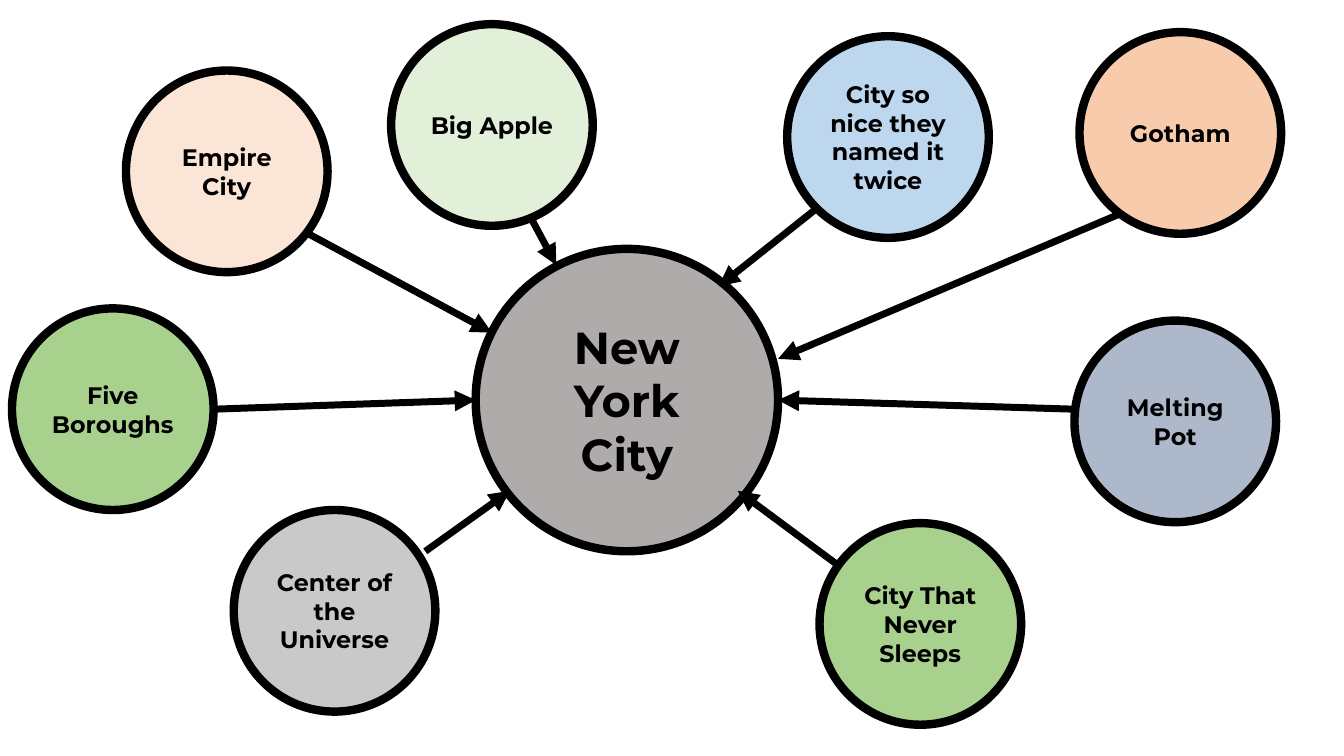
from lxml import etree
from pptx import Presentation
from pptx import util as u
from pptx.dml.color import RGBColor
from pptx.enum import shapes, text
from pptx.oxml import ns

COLOURS = {
    "ink": "000000",
    "hub": "AFABAB",
    "cream": "FBE5D6",
    "silver": "C9C9C9",
    "peach": "F8CBAD",
    "sky": "BDD7EE",
    "slate": "ADB9CA",
    "green": "A9D18E",
    "mint": "E2F0D9",
}

NICKNAMES = [
    ("Empire City", "cream", (90, 50.4), (220.3, 167), (351.4, 237.6)),
    ("Five Boroughs", "green", (8.6, 220.3), (152.6, 292.3), (339.8, 285.8)),
    ("Big Apple", "mint", (279.4, 17.3), (378, 153.4), (397.4, 189.4)),
    ("Gotham", "peach", (771.1, 23), (798.5, 153.4), (555.8, 256.3)),
    ("City That Never Sleeps", "green", (585.4, 373.7), (599.8, 404.6), (527, 350.6)),
    ("City so nice they named it twice", "sky", (562.3, 25.9), (583.2, 149), (513.4, 204.5)),
    ("Center of the Universe", "silver", (167, 364.3), (303.8, 393.8), (364.3, 350.6)),
    ("Melting Pot", "slate", (767.5, 229), (767.5, 292.3), (555.8, 285.8)),
]


class MindMap:
    font = "Montserrat"
    outline = 6
    arrow_width = 5

    def __init__(self, slide):
        self.slide = slide

    def colour(self, name):
        return RGBColor.from_string(COLOURS[name])

    def circle(self, label, fill, corner, diameter, size):
        left, top = corner
        bubble = self.slide.shapes.add_shape(
            shapes.MSO_SHAPE.OVAL,
            u.Pt(left), u.Pt(top), u.Pt(diameter), u.Pt(diameter))
        bubble.shadow.inherit = False
        bubble.fill.solid()
        bubble.fill.fore_color.rgb = self.colour(fill)
        bubble.line.color.rgb = self.colour("ink")
        bubble.line.width = u.Pt(self.outline)
        frame = bubble.text_frame
        frame.word_wrap = True
        frame.vertical_anchor = text.MSO_ANCHOR.MIDDLE
        wording = frame.paragraphs[0]
        wording.text = label
        wording.alignment = text.PP_ALIGN.CENTER
        wording.font.name = self.font
        wording.font.size = u.Pt(size)
        wording.font.bold = True
        wording.font.color.rgb = self.colour("ink")

    def arrow(self, start, end):
        spoke = self.slide.shapes.add_connector(
            shapes.MSO_CONNECTOR.STRAIGHT,
            *(u.Pt(length) for length in (*start, *end)))
        spoke.line.color.rgb = self.colour("ink")
        spoke.line.width = u.Pt(self.arrow_width)
        etree.SubElement(spoke.line._get_or_add_ln(), ns.qn("a:tailEnd"), type="triangle")
        etree.SubElement(spoke._element.spPr, ns.qn("a:effectLst"))


def main():
    deck = Presentation()
    deck.slide_width, deck.slide_height = u.Pt(960), u.Pt(540)
    city_map = MindMap(deck.slides.add_slide(deck.slide_layouts[6]))
    city_map.circle("New York City", "hub", (339.8, 177.8), 216, 32)
    for nickname, fill, corner, start, end in NICKNAMES:
        city_map.circle(nickname, fill, corner, 144, 17)
        city_map.arrow(start, end)
    deck.save("out.pptx")


if __name__ == "__main__":
    main()
